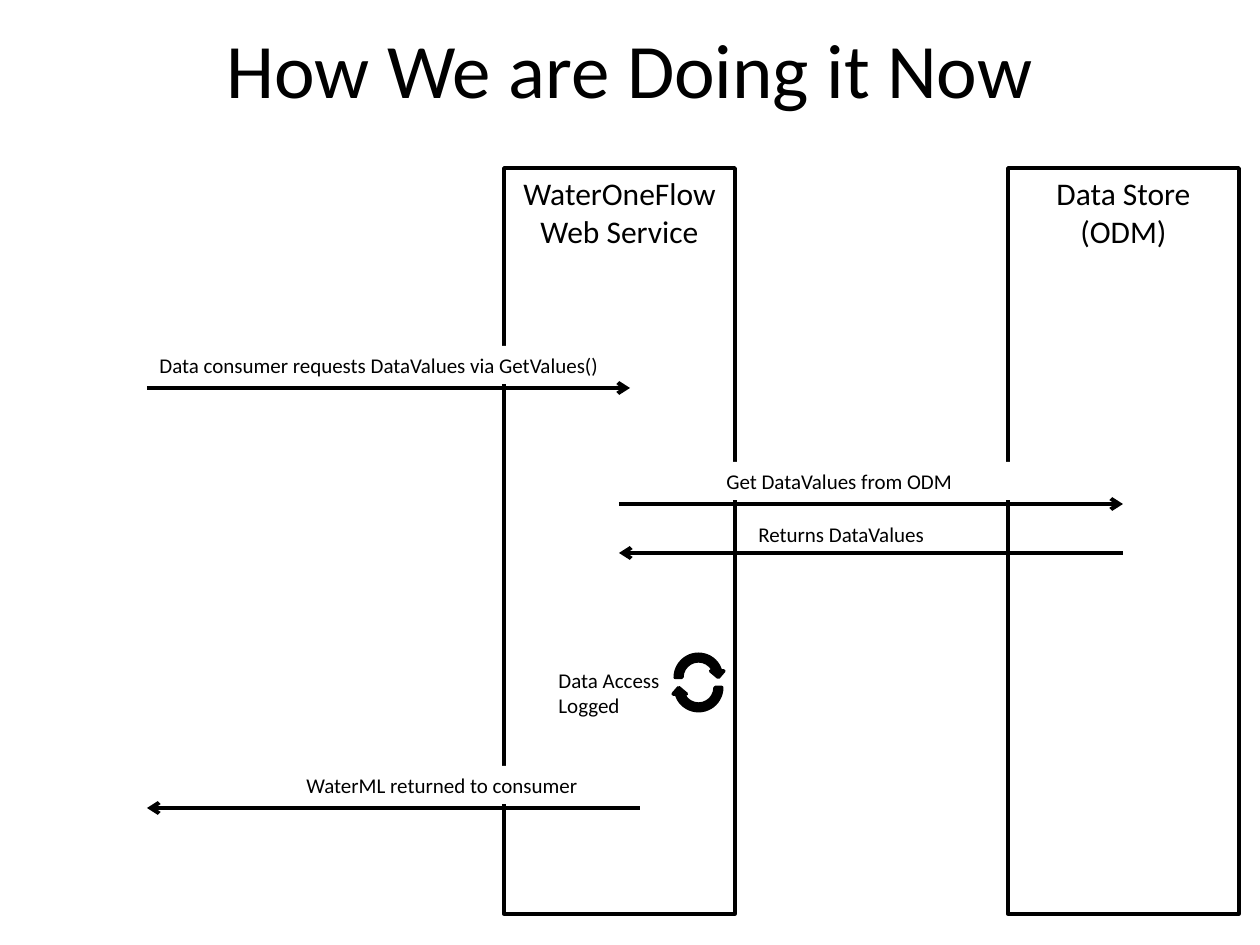
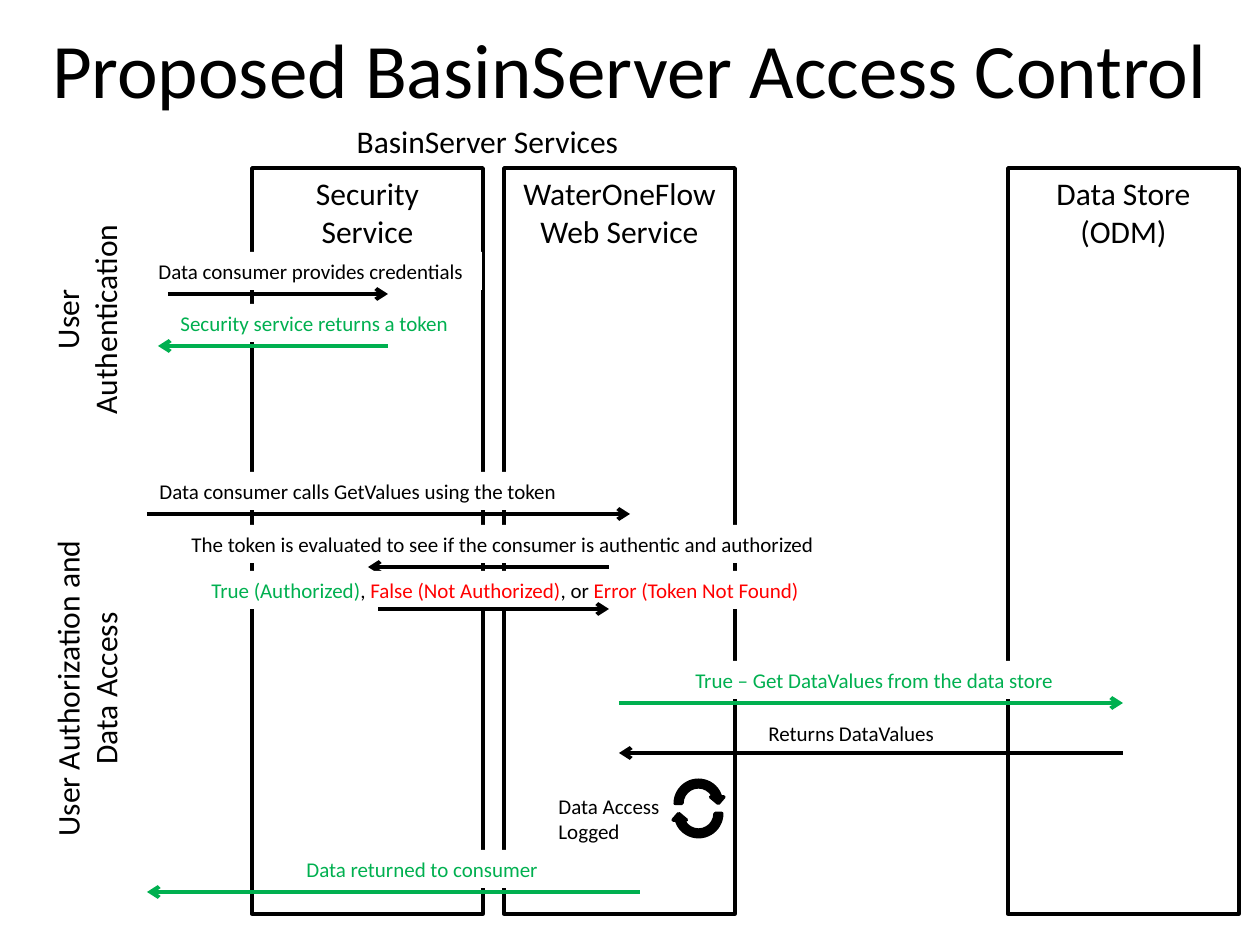
from lxml import etree
from pptx import Presentation
from pptx.dml.color import RGBColor
from pptx.enum.shapes import MSO_CONNECTOR, MSO_SHAPE
from pptx.enum.text import MSO_ANCHOR, MSO_AUTO_SIZE, PP_ALIGN
from pptx.oxml.ns import qn
from pptx.util import Emu, Pt

STRAIGHT = MSO_CONNECTOR.STRAIGHT
RECTANGLE = MSO_SHAPE.RECTANGLE
CIRCULAR_ARROW = MSO_SHAPE.CIRCULAR_ARROW
MIDDLE = MSO_ANCHOR.MIDDLE
FIT_SHAPE = MSO_AUTO_SIZE.SHAPE_TO_FIT_TEXT
LEFT, CENTER = PP_ALIGN.LEFT, PP_ALIGN.CENTER

COLORS = {"black": "000000", "white": "FFFFFF", "green": "00B050", "red": "FF0000"}
FONT = "Calibri"
PX_PER_INCH = 126
SLIDE_W, SLIDE_H = 1260, 945
COLUMN_TOP, COLUMN_W, COLUMN_H = 168, 231, 746
HEADER_H, LABEL_H = 89, 38
LOOP_SIZE, LOOP_OFFSET = 53, 10

SECURITY_X, SERVICE_X, STORE_X = 252, 504, 1008
CONSUMER, SERVICE, STORE = 147, 619, 1123

SHARED_COLUMNS = [
    (STORE_X, ["Data Store (ODM)"]),
    (SERVICE_X, ["WaterOneFlow Web Service"]),
]
SECURITY_COLUMN = (SECURITY_X, ["Security", "Service"])

CURRENT_MESSAGES = [
    ("Data consumer requests DataValues via GetValues()", "black", (147, 346, 535), (CONSUMER, 630, 388)),
    ("Get DataValues from ODM", "black", (714, 462, 368), (SERVICE, STORE, 504)),
    ("Returns DataValues", "black", (746, 515, 199), (STORE, SERVICE, 553)),
    ("WaterML returned to consumer", "black", (294, 766, 315), (640, CONSUMER, 808)),
]

TOKEN_RESULTS = [
    ("True (Authorized)", "green"),
    (", ", "black"),
    ("False (Not Authorized)", "red"),
    (", or ", "black"),
    ("Error (Token Not Found)", "red"),
]
PROPOSED_MESSAGES = [
    ("Data consumer provides credentials", "black", (146, 252, 336), (168, 388, 294)),
    ("Security service returns a token", "green", (168, 304, 294), (388, 158, 346)),
    ("Data consumer calls GetValues using the token", "black", (147, 472, 525), (CONSUMER, 630, 514)),
    ("The token is evaluated to see if the consumer is authentic and authorized", "black",
     (179, 525, 651), (609, 368, 567)),
    (TOKEN_RESULTS, "black", (199, 571, 640), (378, 609, 609)),
    ("True – Get DataValues from the data store", "green", (683, 661, 388), (SERVICE, STORE, 703)),
    ("Returns DataValues", "black", (756, 714, 210), (STORE, SERVICE, 753)),
    ("Data returned to consumer", "green", (294, 850, 315), (640, CONSUMER, 892)),
]


def px(length):
    return Emu(round(length * 914400 / PX_PER_INCH))


def box(*lengths):
    return [px(length) for length in lengths]


def rgb(color):
    return RGBColor.from_string(COLORS[color])


def style_font(font, size, color="black"):
    font.name = FONT
    font.size = Pt(size)
    font.color.rgb = rgb(color)


def add_title(slide, text):
    title = slide.shapes.title
    title.left, title.top, title.width, title.height = box(0, 0, SLIDE_W, 136)
    title.text_frame.text = text
    title.text_frame.vertical_anchor = MIDDLE
    heading = title.text_frame.paragraphs[0]
    heading.alignment = CENTER
    style_font(heading.font, 44)


def add_text(slide, bounds, lines, size=18, color="black", align=CENTER, wrap=True):
    holder = slide.shapes.add_textbox(*box(*bounds))
    frame = holder.text_frame
    frame.word_wrap = wrap
    frame.auto_size = FIT_SHAPE
    for index, line in enumerate(lines):
        paragraph = frame.add_paragraph() if index else frame.paragraphs[0]
        paragraph.alignment = align
        style_font(paragraph.font, size, color)
        if isinstance(line, str):
            paragraph.text = line
            continue
        for words, words_color in line:
            run = paragraph.add_run()
            run.text = words
            run.font.color.rgb = rgb(words_color)
    return holder


def add_outlined(slide, preset, bounds, fill):
    outlined = slide.shapes.add_shape(preset, *box(*bounds))
    outlined.shadow.inherit = False
    outlined.fill.solid()
    outlined.fill.fore_color.rgb = rgb(fill)
    outlined.line.color.rgb = rgb("black")
    outlined.line.width = Pt(2)
    return outlined


def add_column(slide, left, header):
    add_outlined(slide, RECTANGLE, (left, COLUMN_TOP, COLUMN_W, COLUMN_H), "white")
    add_text(slide, (left, COLUMN_TOP, COLUMN_W, HEADER_H), header)


def add_arrow(slide, start, end, y, color):
    arrow = slide.shapes.add_connector(STRAIGHT, *box(start, y, end, y))
    arrow.line.color.rgb = rgb(color)
    arrow.line.width = Pt(2.25)
    etree.SubElement(arrow.line._get_or_add_ln(), qn("a:tailEnd"), type="arrow")
    etree.SubElement(arrow._element.spPr, qn("a:effectLst"))


def add_message(slide, content, color, label_place, route):
    label = add_text(slide, (*label_place, LABEL_H), [content], 12, color, LEFT)
    label.fill.solid()
    label.fill.fore_color.rgb = rgb("white")
    add_arrow(slide, *route, color)


def add_access_log(slide, top):
    add_text(slide, (546, top, 147, 63), ["Data Access Logged"], 12, align=LEFT)
    for loop_top, rotation in ((top - LOOP_OFFSET, 0), (top, 180)):
        loop = add_outlined(slide, CIRCULAR_ARROW, (672, loop_top, LOOP_SIZE, LOOP_SIZE), "black")
        loop.rotation = rotation


def add_phase(slide, bounds, lines):
    add_text(slide, bounds, lines, wrap=False).rotation = 270


def add_sequence(deck, title, columns, messages, log_top):
    slide = deck.slides.add_slide(deck.slide_layouts[5])
    add_title(slide, title)
    for column in columns:
        add_column(slide, *column)
    for message in messages:
        add_message(slide, *message)
    add_access_log(slide, log_top)
    return slide


def main():
    deck = Presentation()
    deck.slide_width, deck.slide_height = box(SLIDE_W, SLIDE_H)
    add_sequence(deck, "How We are Doing it Now", SHARED_COLUMNS, CURRENT_MESSAGES, 661)
    proposed = add_sequence(deck, "Proposed BasinServer Access Control",
                            [SECURITY_COLUMN, *SHARED_COLUMNS], PROPOSED_MESSAGES, 787)
    add_text(proposed, (220, 116, 535, 50), ["BasinServer Services"])
    add_phase(proposed, (-23, 275, 218, HEADER_H), ["User", "Authentication"])
    add_phase(proposed, (-76, 644, 325, HEADER_H), ["User Authorization and", "Data Access"])
    deck.save("out.pptx")


if __name__ == "__main__":
    main()
